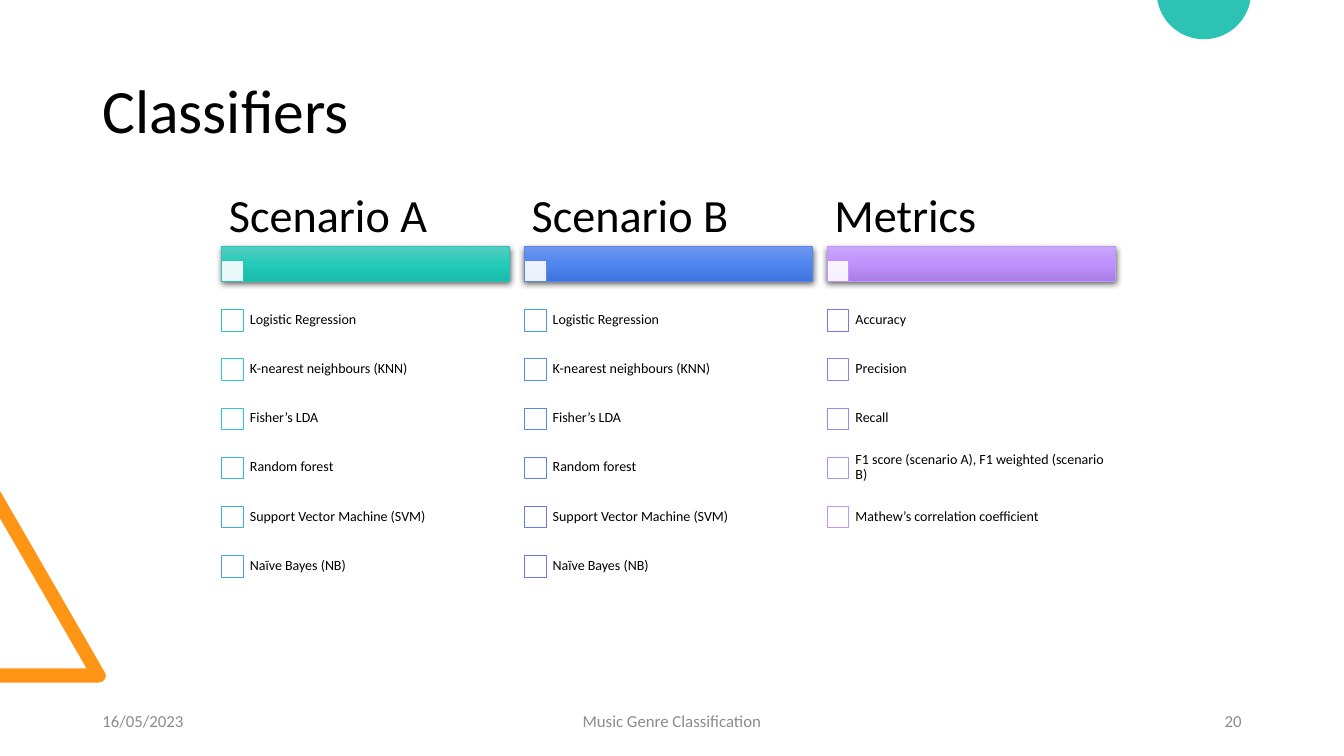
from copy import deepcopy
from math import asin, cos, pi, sin

from lxml.etree import SubElement
from pptx import Presentation
from pptx.dml.color import RGBColor
from pptx.enum.shapes import MSO_SHAPE
from pptx.enum.text import MSO_ANCHOR, PP_ALIGN
from pptx.oxml.ns import qn
from pptx.util import Cm, Pt

BLACK = RGBColor(0x00, 0x00, 0x00)
WHITE = RGBColor(0xFF, 0xFF, 0xFF)
GREY = RGBColor(0x8C, 0x8C, 0x8C)
ORANGE = RGBColor(0xFF, 0x95, 0x14)
TEAL = RGBColor(0x2C, 0xC3, 0xB4)
BLUE = RGBColor(0x58, 0x88, 0xE7)
PURPLE = RGBColor(0xC0, 0x97, 0xF8)
TEAL_BAR = [RGBColor(0x53, 0xCD, 0xBF), RGBColor(0x24, 0xCB, 0xBA), RGBColor(0x1A, 0xBB, 0xAB)]
BLUE_BAR = [RGBColor(0x6F, 0x96, 0xEC), RGBColor(0x50, 0x86, 0xEF), RGBColor(0x3F, 0x74, 0xDC)]
PURPLE_BAR = [RGBColor(0xC8, 0xA5, 0xFA), RGBColor(0xBF, 0x92, 0xFD), RGBColor(0xA9, 0x7E, 0xE5)]
TEAL_BOXES = [TEAL, RGBColor(0x2C, 0xCD, 0xCC), RGBColor(0x2E, 0xC5, 0xD5),
              RGBColor(0x35, 0xBA, 0xD8), RGBColor(0x3C, 0xAE, 0xDB), RGBColor(0x42, 0xA4, 0xDF)]
BLUE_BOXES = [RGBColor(0x49, 0x9A, 0xE2), RGBColor(0x50, 0x91, 0xE5), BLUE,
              RGBColor(0x5F, 0x81, 0xEA), RGBColor(0x67, 0x7A, 0xEC), RGBColor(0x6E, 0x75, 0xEF)]
PURPLE_BOXES = [RGBColor(0x7B, 0x76, 0xF1), RGBColor(0x8E, 0x7E, 0xF3), RGBColor(0xA0, 0x86, 0xF5),
                RGBColor(0xB1, 0x8F, 0xF6), PURPLE]

CLASSIFIERS = ["Logistic Regression", "K-nearest neighbours (KNN)", "Fisher’s LDA",
               "Random forest", "Support Vector Machine (SVM)", "Naïve Bayes (NB)"]
METRICS = ["Accuracy", "Precision", "Recall",
           "F1 score (scenario A), F1 weighted (scenario B)", "Mathew’s correlation coefficient"]
COLUMNS = [
    ("Scenario A", CLASSIFIERS, TEAL, TEAL_BAR, TEAL_BOXES),
    ("Scenario B", CLASSIFIERS, BLUE, BLUE_BAR, BLUE_BOXES),
    ("Metrics", METRICS, PURPLE, PURPLE_BAR, PURPLE_BOXES),
]

presentation = Presentation()
presentation.slide_width = Cm(33.87)
presentation.slide_height = Cm(19.05)
slide = presentation.slides.add_slide(presentation.slide_layouts[6])


def write(text, left, top, width, height, size=10, color=BLACK, align=PP_ALIGN.LEFT,
          spacing=0.9, inset_x=0.25, inset_y=0.13):
    box = slide.shapes.add_textbox(Cm(left), Cm(top), Cm(width), Cm(height))
    frame = box.text_frame
    frame.word_wrap = True
    frame.vertical_anchor = MSO_ANCHOR.MIDDLE
    frame.margin_left = frame.margin_right = Cm(inset_x)
    frame.margin_top = frame.margin_bottom = Cm(inset_y)
    paragraph = frame.paragraphs[0]
    paragraph.alignment = align
    paragraph.line_spacing = spacing
    run = paragraph.add_run()
    run.text = text
    run.font.name = "Calibri"
    run.font.size = Pt(size)
    run.font.color.rgb = color


def add_rectangle(left, top, width, height, outline):
    rectangle = slide.shapes.add_shape(MSO_SHAPE.RECTANGLE, Cm(left), Cm(top), Cm(width), Cm(height))
    rectangle.shadow.inherit = False
    rectangle.fill.solid()
    rectangle.fill.fore_color.rgb = WHITE
    rectangle.line.color.rgb = outline
    rectangle.line.width = Pt(0.5)
    return rectangle


triangle = [(0, 17.2), (0, 16.84), (2.18, 16.84), (0, 13.06), (0, 12.37), (2.64, 16.94),
            (2.67, 17.02), (2.65, 17.1), (2.59, 17.17), (2.49, 17.2)]
radius, rise = 1.19, 0.2
start = asin(rise / radius)
angles = [start + (pi - 2 * start) * step / 48 for step in range(49)]
circle = [(30.34 + radius * cos(angle), radius * sin(angle) - rise) for angle in angles]
for points, color in [(triangle, ORANGE), (circle, TEAL)]:
    corners = [(Cm(x), Cm(y)) for x, y in points]
    builder = slide.shapes.build_freeform(*corners[0])
    builder.add_line_segments(corners[1:], close=True)
    ornament = builder.convert_to_shape()
    ornament.shadow.inherit = False
    ornament.fill.solid()
    ornament.fill.fore_color.rgb = color
    ornament.line.fill.background()

write("Classifiers", 2.33, 1.02, 29.21, 3.68, size=44)
footers = [
    ("16/05/2023", 2.33, 7.62, PP_ALIGN.LEFT),
    ("Music Genre Classification", 11.22, 11.43, PP_ALIGN.CENTER),
    ("20", 23.92, 7.62, PP_ALIGN.RIGHT),
]
for text, left, width, align in footers:
    write(text, left, 17.66, width, 1.01, size=12, color=GREY, align=align, spacing=1.0)

box_size = 0.54
row_height = 1.24
column_width = 7.26
for column, (heading, items, accent, bar_colors, box_colors) in enumerate(COLUMNS):
    left = 5.59 + column * 7.63

    bar = add_rectangle(left, 6.22, column_width, 0.86, accent)
    bar.fill.gradient()
    bar.fill.gradient_angle = 270
    properties = bar._element.spPr
    stop_list = properties.find(qn("a:gradFill")).find(qn("a:gsLst"))
    stop_list.append(deepcopy(stop_list[0]))
    for stop, position, color in zip(bar.fill.gradient_stops, (0, 0.5, 1), bar_colors):
        stop.position = position
        stop.color.rgb = color
    shadow = SubElement(properties.find(qn("a:effectLst")), qn("a:outerShdw"),
                        blurRad="57150", dist="19050", dir="5400000", algn="ctr", rotWithShape="0")
    shadow_color = SubElement(shadow, qn("a:srgbClr"), val="000000")
    SubElement(shadow_color, qn("a:alpha"), val="63000")

    bar_box = add_rectangle(left, 6.56, box_size, box_size, accent)
    white = bar_box._element.spPr.find(qn("a:solidFill"))[0]
    SubElement(white, qn("a:alpha"), val="90000")
    write(heading, left, 4.7, column_width, 1.55, size=33, inset_x=0.18, inset_y=0.13)

    for row, (item, color) in enumerate(zip(items, box_colors)):
        top = 7.44 + row * row_height
        add_rectangle(left, top + 0.36, box_size, box_size, color)
        write(item, left + 0.51, top, 6.76, row_height, inset_x=0.2, inset_y=0.2)

presentation.save("out.pptx")
